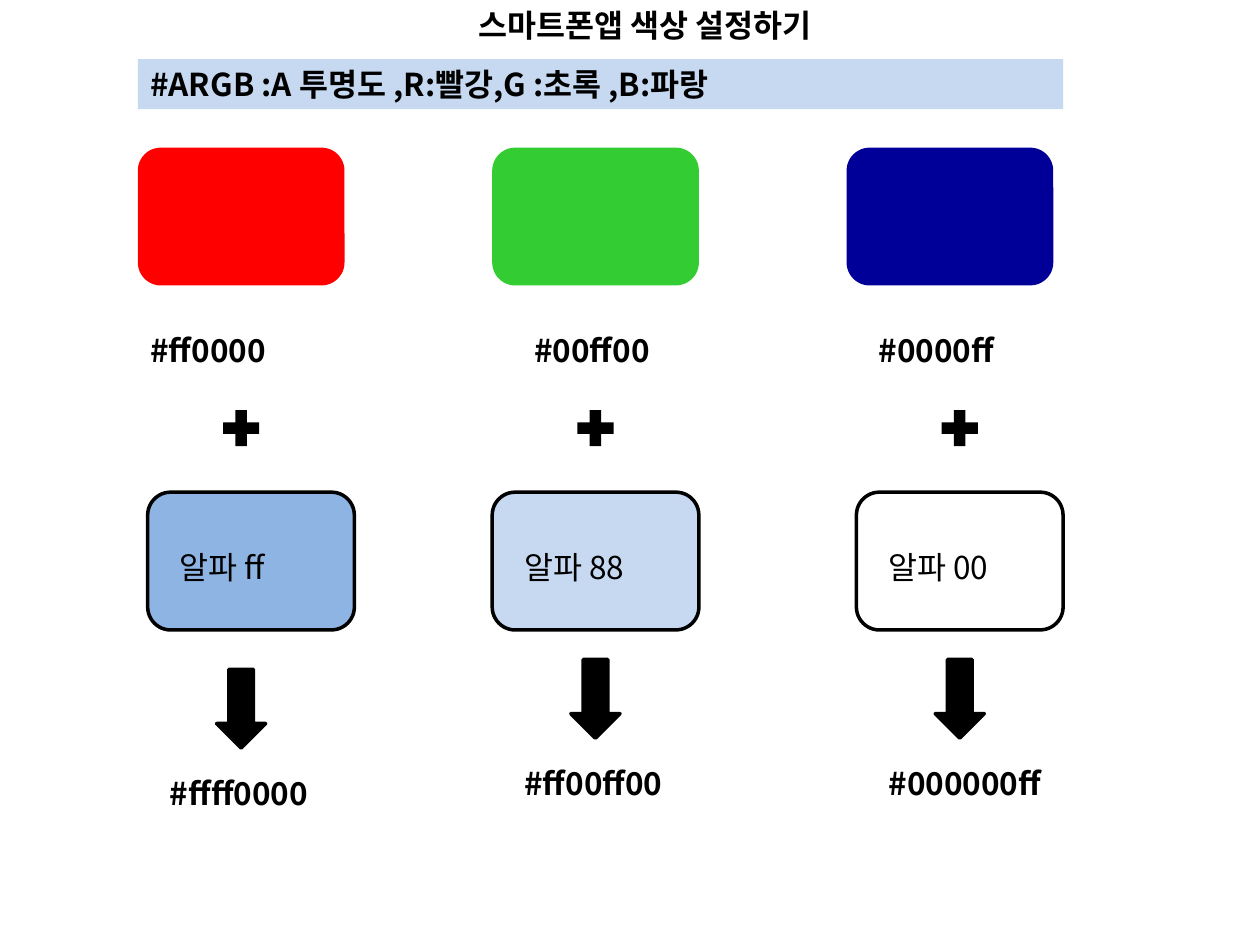
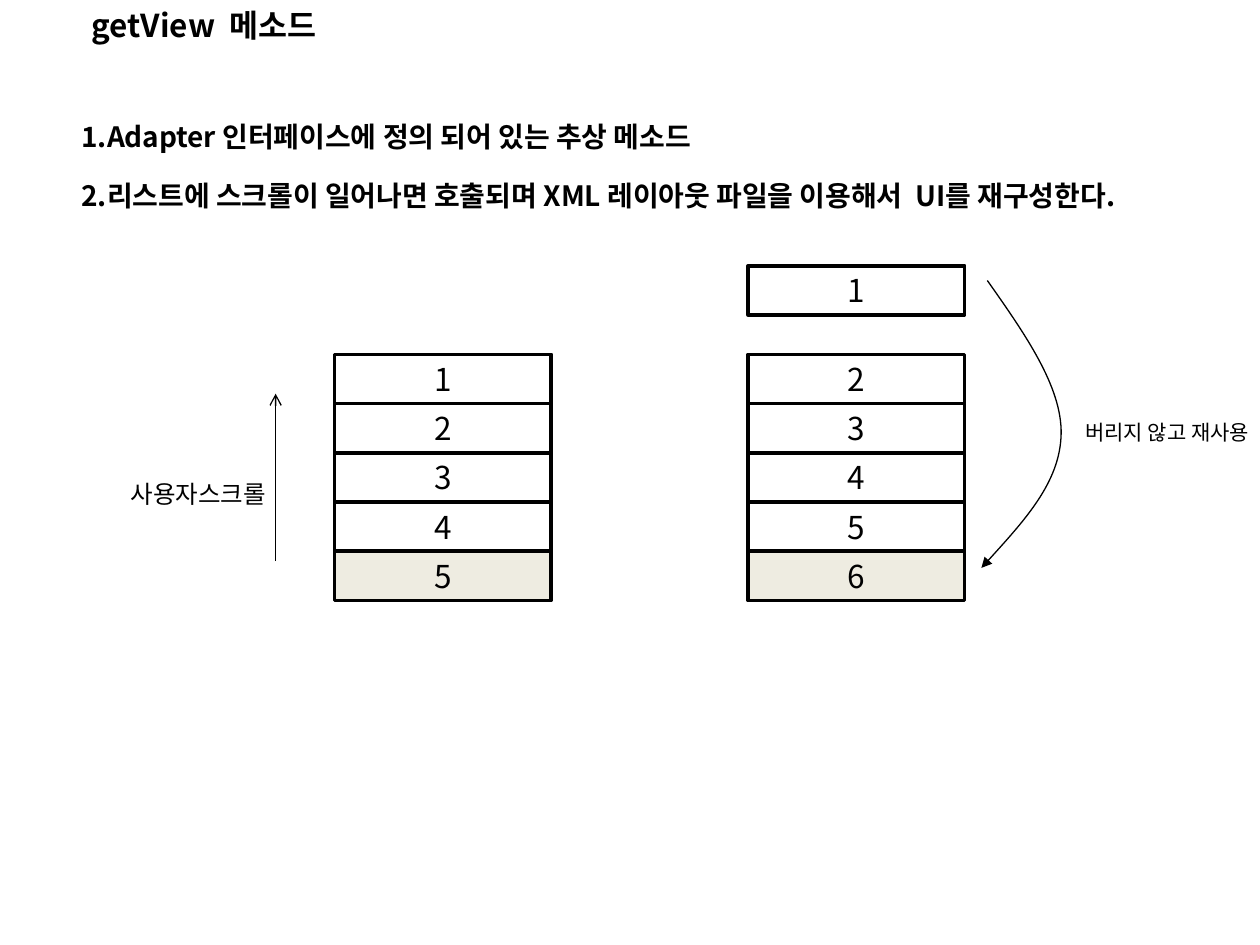
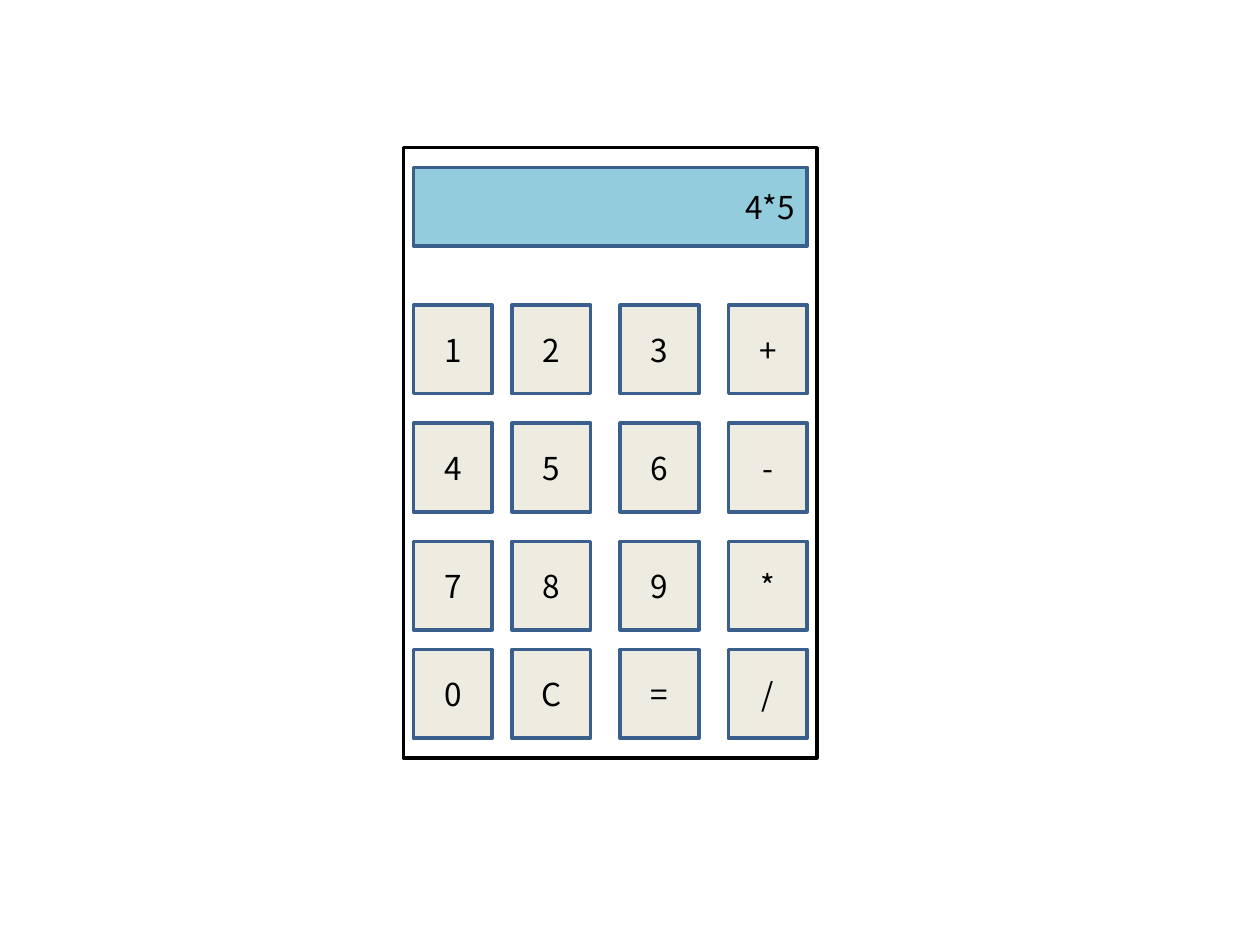
import dataclasses

import lxml.etree
import pptx
import pptx.dml.color
import pptx.enum.shapes
import pptx.enum.text
import pptx.oxml.ns
import pptx.util

SHAPE = pptx.enum.shapes.MSO_SHAPE
ALIGN = pptx.enum.text.PP_ALIGN
EMU_PER_PX = 914400 / 128


@dataclasses.dataclass(frozen=True)
class Theme:
    font: str = "Noto Sans CJK KR"
    ink: str = "000000"
    paper: str = "FFFFFF"
    red: str = "FF0000"
    green: str = "33CC33"
    blue: str = "000099"
    alpha: str = "8EB4E3"
    band: str = "C6D9F1"
    beige: str = "EEECE1"
    display: str = "93CDDD"
    key_line: str = "3A5F8C"
    main_size: int = 18
    list_size: int = 16
    label_size: int = 14
    note_size: int = 12
    thick: float = 2
    thin: float = 0.75


THEME = Theme()


def px(length):
    return pptx.util.Emu(round(length * EMU_PER_PX))


def rgb(colour):
    return pptx.dml.color.RGBColor.from_string(colour)


def add_element(parent, tag, **attributes):
    return lxml.etree.SubElement(parent, pptx.oxml.ns.qn(tag), attributes)


def write_text(shape, lines, size=THEME.main_size, bold=False, align=ALIGN.LEFT, gap=0):
    frame = shape.text_frame
    frame.text = "\n".join(lines)
    frame.word_wrap = True
    frame.auto_size = pptx.enum.text.MSO_AUTO_SIZE.NONE
    frame.vertical_anchor = pptx.enum.text.MSO_ANCHOR.MIDDLE
    for index, paragraph in enumerate(frame.paragraphs):
        paragraph.alignment = align
        paragraph.space_before = pptx.util.Pt(gap if index else 0)
        if shape.is_placeholder:
            properties = paragraph._p.get_or_add_pPr()
            properties.set("marL", "0")
            properties.set("indent", "0")
            add_element(properties, "a:buNone")
        font = paragraph.font
        font.name = THEME.font
        font.size = pptx.util.Pt(size)
        font.bold = bold
        font.color.rgb = rgb(THEME.ink)
        defaults = paragraph._p.xpath("./a:pPr/a:defRPr")[0]
        add_element(defaults, "a:ea", typeface=THEME.font)


def place(shape, box):
    shape.left, shape.top, shape.width, shape.height = map(px, box)


def fill_placeholder(shape, box, lines, **style):
    place(shape, box)
    write_text(shape, lines, bold=True, **style)


def add_label(shapes, box, text, **style):
    write_text(shapes.add_textbox(*map(px, box)), [text], **style)


def add_block(shapes, kind, box, fill=None, line=None, text=None, **style):
    shape = shapes.add_shape(kind, *map(px, box))
    shape.shadow.inherit = False
    if fill:
        shape.fill.solid()
        shape.fill.fore_color.rgb = rgb(fill)
    else:
        shape.fill.background()
    if line:
        shape.line.color.rgb = rgb(line)
        shape.line.width = pptx.util.Pt(THEME.thick)
    else:
        shape.line.fill.background()
    if text:
        write_text(shape, [text], **style)
    return shape


def finish_arrow(shape, head):
    shape.line.color.rgb = rgb(THEME.ink)
    shape.line.width = pptx.util.Pt(THEME.thin)
    add_element(shape._element.xpath("./p:spPr/a:ln")[0], "a:tailEnd", type=head)
    add_element(shape._element.spPr, "a:effectLst")


def add_straight_arrow(shapes, start, end):
    connector = shapes.add_connector(
        pptx.enum.shapes.MSO_CONNECTOR.STRAIGHT, *map(px, start + end))
    finish_arrow(connector, "arrow")


def add_curved_arrow(shapes, left, top):
    points = [(px(left + x), px(top + y)) for x, y in
              [(6, 0), (44, 54), (82, 108), (81, 156), (80, 205), (40, 248), (0, 292)]]
    builder = shapes.build_freeform(*points[0])
    builder.add_line_segments(points[1:], close=False)
    shape = builder.convert_to_shape()
    shape.fill.background()
    outline = shape._element.xpath(".//a:path")[0]
    segments = outline.xpath("./a:lnTo")
    for first in range(0, len(segments), 3):
        curve = add_element(outline, "a:cubicBezTo")
        for segment in segments[first:first + 3]:
            curve.append(segment[0])
            outline.remove(segment)
    finish_arrow(shape, "triangle")


def add_colour_column(shapes, left, top, column):
    code_x, plus_x, box_x, text_x, result_x, drop = column["offsets"]
    add_block(shapes, SHAPE.ROUNDED_RECTANGLE, (left, top, 210, 140), column["colour"])
    add_label(shapes, (left + code_x, top + 180, 210, 51), column["code"], bold=True)
    add_block(shapes, SHAPE.MATH_PLUS, (left + plus_x, top + 260, 50, 50), THEME.ink)
    alpha_box = add_block(shapes, SHAPE.ROUNDED_RECTANGLE,
                          (left + box_x, top + 350, 210, 140), column["fill"], THEME.ink)
    if column["opacity"] < 100:
        colour = alpha_box._element.xpath("./p:spPr/a:solidFill/a:srgbClr")[0]
        add_element(colour, "a:alpha", val=str(column["opacity"] * 1000))
    add_label(shapes, (left + text_x, top + 400, 210, 51), column["alpha"])
    add_block(shapes, SHAPE.DOWN_ARROW, (left + plus_x, top + 520 + drop, 50, 80),
              THEME.ink, THEME.ink)
    add_label(shapes, (left + result_x, top + 620 + drop, 210, 51), column["result"], bold=True)


def add_cell(shapes, left, top, number, fill=THEME.paper):
    add_block(shapes, SHAPE.RECTANGLE, (left, top, 220, 50), fill, THEME.ink,
              str(number), align=ALIGN.CENTER)


def add_stack(shapes, left, top, numbers):
    for row, number in enumerate(numbers):
        fill = THEME.beige if number == numbers[-1] else THEME.paper
        add_cell(shapes, left, top + row * 50, number, fill)


def add_calculator(shapes, left, top):
    parts = shapes.add_group_shape().shapes
    add_block(parts, SHAPE.RECTANGLE, (left, top, 420, 620), line=THEME.ink)
    add_block(parts, SHAPE.RECTANGLE, (left + 10, top + 20, 400, 80),
              THEME.display, THEME.key_line, "4*5", align=ALIGN.RIGHT)
    for y, keys in zip((160, 280, 400, 510), ("123+", "456-", "789*", "0C=/")):
        for x, key in zip((10, 110, 220, 330), keys):
            add_block(parts, SHAPE.RECTANGLE, (left + x, top + y, 80, 90),
                      THEME.beige, THEME.key_line, key, align=ALIGN.CENTER)


def build_colour_slide(presentation):
    slide = presentation.slides.add_slide(presentation.slide_layouts[5])
    shapes = slide.shapes
    fill_placeholder(shapes.title, (160, 0, 990, 51), ["스마트폰앱 색상 설정하기"],
                     align=ALIGN.CENTER)
    add_block(shapes, SHAPE.RECTANGLE, (140, 60, 940, 51), THEME.band,
              text="#ARGB :A 투명도 ,R:빨강,G :초록 ,B:파랑", bold=True)
    columns = [
        dict(colour=THEME.red, code="#ff0000", fill=THEME.alpha, opacity=100,
             alpha="알파 ff", result="#ffff0000", offsets=(0, 80, 10, 30, 20, 10)),
        dict(colour=THEME.green, code="#00ff00", fill=THEME.alpha, opacity=50,
             alpha="알파 88", result="#ff00ff00", offsets=(30, 80, 0, 20, 20, 0)),
        dict(colour=THEME.blue, code="#0000ff", fill=None, opacity=100,
             alpha="알파 00", result="#000000ff", offsets=(20, 90, 10, 30, 30, 0)),
    ]
    for index, column in enumerate(columns):
        add_colour_column(shapes, 140 + index * 360, 150, column)


def build_method_slide(presentation):
    slide = presentation.slides.add_slide(presentation.slide_layouts[1])
    shapes = slide.shapes
    fill_placeholder(shapes.title, (80, 0, 890, 51), ["getView  메소드"])
    fill_placeholder(slide.placeholders[1], (70, 110, 1250, 117), [
        "1.Adapter 인터페이스에 정의 되어 있는 추상 메소드",
        "2.리스트에 스크롤이 일어나면 호출되며 XML 레이아웃 파일을 이용해서  UI를 재구성한다.",
    ], size=THEME.list_size, gap=15)
    add_stack(shapes, 340, 360, range(1, 6))
    add_cell(shapes, 760, 270, 1)
    add_stack(shapes, 760, 360, range(2, 7))
    add_straight_arrow(shapes, (280, 570), (280, 400))
    add_label(shapes, (120, 480, 230, 44), "사용자스크롤", size=THEME.label_size)
    add_curved_arrow(shapes, 997, 285)
    add_label(shapes, (1090, 420, 290, 38), "버리지 않고 재사용", size=THEME.note_size)


def build_calculator_slide(presentation):
    slide = presentation.slides.add_slide(presentation.slide_layouts[6])
    add_calculator(slide.shapes, 410, 150)


def main():
    presentation = pptx.Presentation()
    presentation.slide_width = px(1280)
    presentation.slide_height = px(960)
    build_colour_slide(presentation)
    build_method_slide(presentation)
    build_calculator_slide(presentation)
    presentation.save("out.pptx")


if __name__ == "__main__":
    main()
